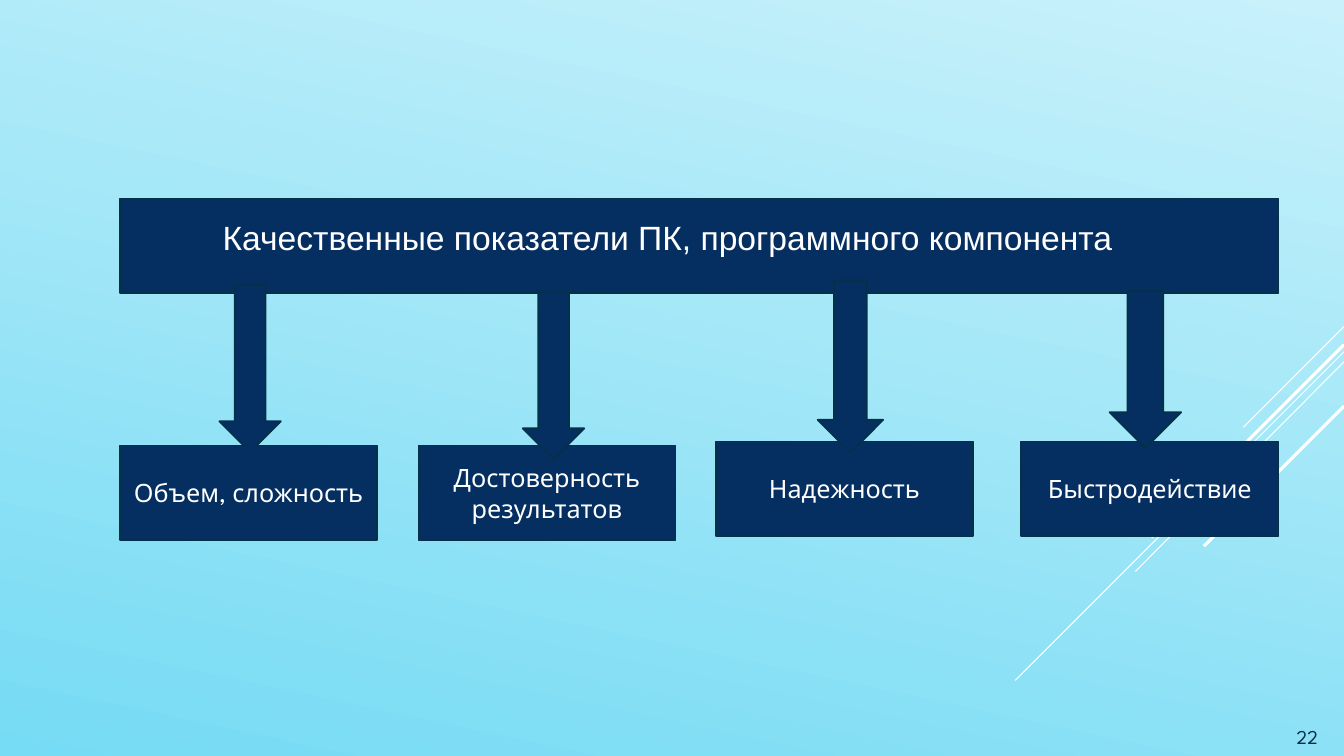
from pptx import Presentation
from pptx.dml.color import RGBColor
from pptx.enum.shapes import MSO_CONNECTOR, MSO_SHAPE
from pptx.enum.text import MSO_ANCHOR, MSO_AUTO_SIZE, PP_ALIGN
from pptx.oxml.ns import qn
from pptx.util import Inches, Pt
from lxml import etree

RECTANGLE, RIGHT_ARROW = MSO_SHAPE.RECTANGLE, MSO_SHAPE.RIGHT_ARROW
STRAIGHT = MSO_CONNECTOR.STRAIGHT
TOP, MIDDLE, BOTTOM = MSO_ANCHOR.TOP, MSO_ANCHOR.MIDDLE, MSO_ANCHOR.BOTTOM
CENTER, RIGHT = PP_ALIGN.CENTER, PP_ALIGN.RIGHT
NO_AUTOFIT = MSO_AUTO_SIZE.NONE

WHITE = RGBColor(0xFF, 0xFF, 0xFF)
NAVY = RGBColor(0x05, 0x2F, 0x61)
OUTLINE = RGBColor(0x04, 0x31, 0x48)
NUMBER_COLOR = RGBColor(0x0A, 0x30, 0x4A)
SKY_LIGHT = RGBColor(0xC8, 0xF1, 0xFB)
SKY_DEEP = RGBColor(0x76, 0xDB, 0xF4)

SLIDE_WIDTH = 13.33
BOX_WIDTH, BOX_HEIGHT = 2.55, 0.94


def add_navy_shape(kind, left, top, width, height):
    shape = page.shapes.add_shape(
        kind, Inches(left), Inches(top), Inches(width), Inches(height))
    shape.shadow.inherit = False
    shape.fill.solid()
    shape.fill.fore_color.rgb = NAVY
    shape.line.color.rgb = OUTLINE
    shape.line.width = Pt(1.25)
    return shape


def write_text(shape, text, size, font, color, align, anchor):
    frame = shape.text_frame
    frame.text = text
    frame.word_wrap = True
    frame.auto_size = NO_AUTOFIT
    frame.vertical_anchor = anchor
    para = frame.paragraphs[0]
    para.alignment = align
    span = para.runs[0]
    span.font.size = Pt(size)
    span.font.name = font
    span.font.color.rgb = color


deck = Presentation()
deck.slide_width = Inches(SLIDE_WIDTH)
deck.slide_height = Inches(7.5)
page = deck.slides.add_slide(deck.slide_layouts[5])

# Background gradient
backdrop = page.background.fill
backdrop.gradient()
backdrop.gradient_angle = 258
for stop, color in zip(backdrop.gradient_stops, (SKY_LIGHT, SKY_DEEP)):
    stop.color.rgb = color

# Diagonal lines from the right edge: start y, end x, end y, weight
diagonals = [
    (3.24, 12.33, 4.24, 0.75),
    (3.49, 10.07, 6.75, 0.75),
    (3.59, 11.26, 5.67, 0.75),
    (3.42, 11.42, 5.33, 2.25),
    (4.03, 11.94, 5.42, 2.25),
]
for start_y, end_x, end_y, weight in diagonals:
    diagonal = page.shapes.add_connector(
        STRAIGHT, Inches(SLIDE_WIDTH), Inches(start_y), Inches(end_x), Inches(end_y))
    diagonal.line.color.rgb = WHITE
    diagonal.line.width = Pt(weight)
    etree.SubElement(diagonal.element.spPr, qn("a:effectLst"))

# Heading bar with the title in front of it
bar = add_navy_shape(RECTANGLE, 1.19, 1.97, 11.49, BOX_HEIGHT)
title = page.shapes.title
title.left, title.top = Inches(1.62), Inches(2.1)
title.width, title.height = Inches(10), Inches(0.68)
write_text(title, "Качественные показатели ПК, программного компонента",
           24, "Arial", WHITE, CENTER, TOP)
bar.element.addnext(title.element)

# Indicators: text, box left and top, arrow left, top, length and breadth
indicators = [
    ("Объем, сложность", 1.19, 4.42, (1.65, 3.35, 1.66, 0.61)),
    ("Достоверность результатов", 4.15, 4.42, (4.66, 3.42, 1.66, 0.61)),
    ("Надежность", 7.1, 4.38, (7.58, 3.31, 1.71, 0.65)),
    ("Быстродействие", 10.13, 4.38, (10.58, 3.31, 1.56, 0.71)),
]
for index, (text, left, top, arrow_place) in enumerate(indicators):
    box = add_navy_shape(RECTANGLE, left, top, BOX_WIDTH, BOX_HEIGHT)
    write_text(box, text, 18, "League Spartan", WHITE, CENTER, MIDDLE)
    arrow = add_navy_shape(RIGHT_ARROW, *arrow_place)
    arrow.rotation = 90
    if index == 0:  # the first arrow's tip goes behind its box
        box.element.addprevious(arrow.element)

# Slide number
number = page.shapes.add_textbox(Inches(11.92), Inches(6.74), Inches(1.25), Inches(0.73))
write_text(number, "22", 14, "League Spartan", NUMBER_COLOR, RIGHT, BOTTOM)

deck.save("out.pptx")
